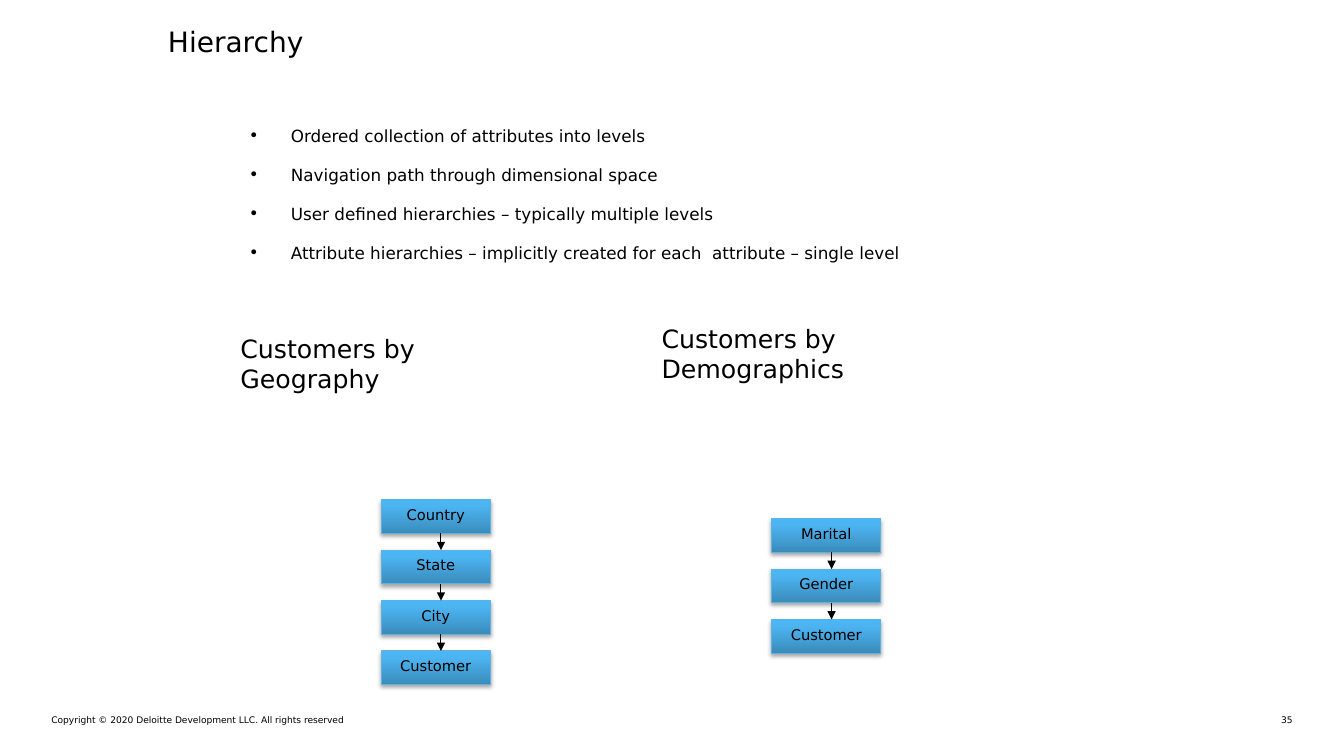
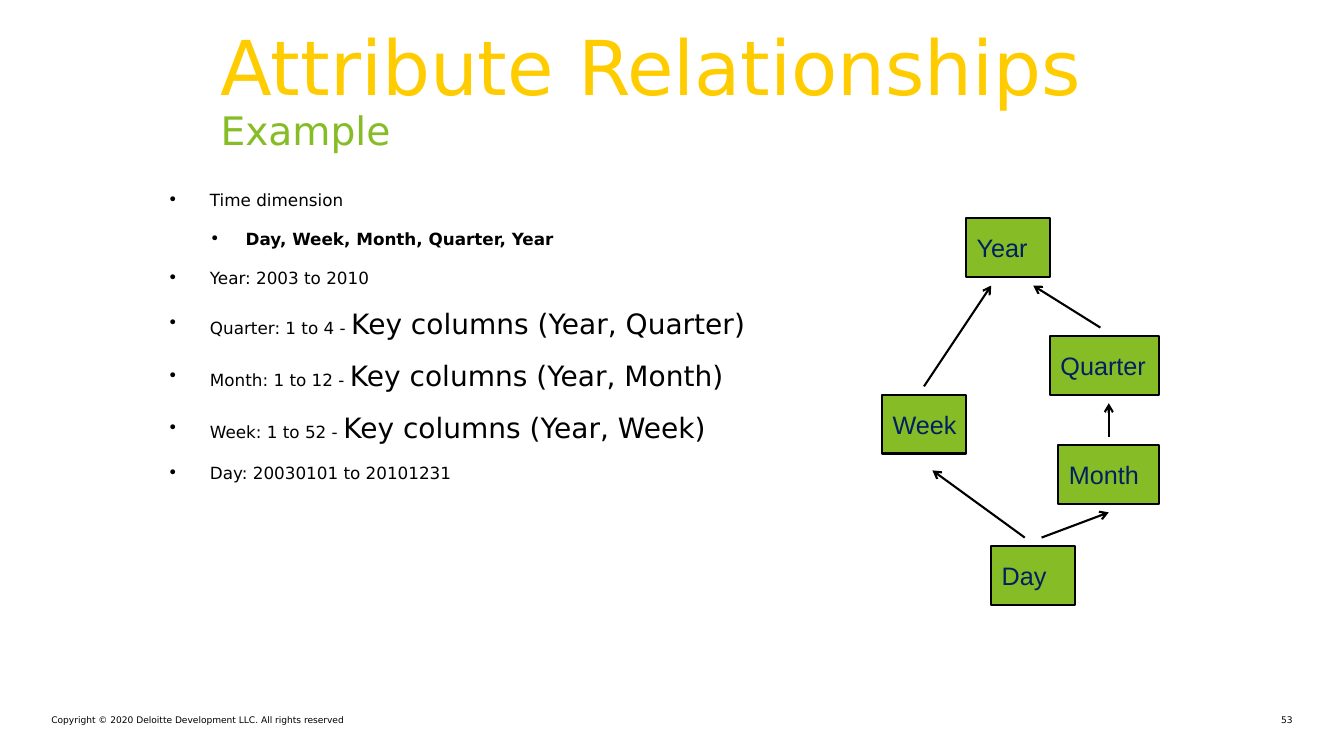
from itertools import pairwise

from lxml import etree
from pptx import Presentation
from pptx.dml.color import RGBColor
from pptx.enum.shapes import MSO_CONNECTOR, MSO_SHAPE
from pptx.enum.text import MSO_ANCHOR, PP_ALIGN
from pptx.oxml import parse_xml
from pptx.oxml.ns import nsdecls, qn
from pptx.util import Pt

PX = 9525
RECT = MSO_SHAPE.RECTANGLE
STRAIGHT = MSO_CONNECTOR.STRAIGHT
LEFT, CENTER, RIGHT = PP_ALIGN.LEFT, PP_ALIGN.CENTER, PP_ALIGN.RIGHT
TOP, MIDDLE = MSO_ANCHOR.TOP, MSO_ANCHOR.MIDDLE

BLACK = RGBColor(0x00, 0x00, 0x00)
GREEN = RGBColor(0x86, 0xBC, 0x25)
YELLOW = RGBColor(0xFF, 0xCC, 0x00)
NAVY = RGBColor(0x00, 0x20, 0x60)
LEVEL_LINE = RGBColor(0x5D, 0xB2, 0xE3)
LEVEL_STOPS = (
    (0, RGBColor(0x3A, 0x8B, 0xBA)),
    (80, RGBColor(0x4C, 0xB4, 0xF1)),
    (100, RGBColor(0x49, 0xB6, 0xF5)),
)

FONT = "DejaVu Sans"
NODE_FONT = "Arial"
COPYRIGHT = "Copyright © 2020 Deloitte Development LLC. All rights reserved"
NO_INSETS = (0, 0, 0, 0)
TEXT_INSETS = (10, 5, 10, 5)
BULLET_INDENTS = ((40, -40), (74, -34))  # left margin and first line, by level


def px(*lengths):
    return [length * PX for length in lengths]


def add_run(p, text, size, color=BLACK, bold=False, font=FONT):
    r = p.add_run()
    r.text = text
    r.font.name = font
    r.font.size = Pt(size)
    r.font.bold = bold
    r.font.color.rgb = color


def set_frame(s, insets, anchor=TOP):
    tf = s.text_frame
    tf.word_wrap = True
    tf.vertical_anchor = anchor
    tf.margin_left, tf.margin_top, tf.margin_right, tf.margin_bottom = px(*insets)
    return tf


def add_text(slide, box, text, size, insets=NO_INSETS, align=LEFT):
    tf = set_frame(slide.shapes.add_textbox(*px(*box)), insets)
    p = tf.paragraphs[0]
    p.alignment = align
    add_run(p, text, size)


def add_arrow(slide, start, end, width, head):
    c = slide.shapes.add_connector(STRAIGHT, *px(*start, *end))
    c.line.color.rgb = BLACK
    c.line.width = Pt(width)
    sp_pr = c.line._get_or_add_ln().getparent()
    etree.SubElement(sp_pr.find(qn("a:ln")), qn("a:tailEnd"), type=head)
    etree.SubElement(sp_pr, qn("a:effectLst"))


def add_bullets(slide, box, items):
    """Each item is a level followed by its runs: (text, size, bold)."""
    tf = set_frame(slide.shapes.add_textbox(*px(*box)), NO_INSETS)
    for i, (level, *runs) in enumerate(items):
        p = tf.add_paragraph() if i else tf.paragraphs[0]
        p.level = level
        p.space_after = Pt(13.3)
        margin, indent = px(*BULLET_INDENTS[level])
        p_pr = p._p.get_or_add_pPr()
        p_pr.set("marL", str(margin))
        p_pr.set("indent", str(indent))
        etree.SubElement(p_pr, qn("a:buFont"), typeface=FONT)
        etree.SubElement(p_pr, qn("a:buChar"), char="•")
        for text, size, bold in runs:
            add_run(p, text, size, bold=bold)


def add_footer(slide, number):
    add_text(slide, (49, 680, 563, 11), COPYRIGHT, 6.5)
    add_text(slide, (1198, 680, 33, 11), number, 6.5, align=RIGHT)


def style_level(s):
    """Give a level its gradient, outline and soft shadow."""
    s.line.color.rgb = LEVEL_LINE
    s.line.width = Pt(0.75)
    stops = "".join(
        f'<a:gs pos="{pos * 1000}"><a:srgbClr val="{color}"/></a:gs>'
        for pos, color in LEVEL_STOPS
    )
    ln = s.line._get_or_add_ln()
    ln.addprevious(parse_xml(
        f'<a:gradFill {nsdecls("a")} rotWithShape="1"><a:gsLst>{stops}</a:gsLst>'
        '<a:lin ang="16200000" scaled="0"/></a:gradFill>'
    ))
    ln.addnext(parse_xml(
        f'<a:effectLst {nsdecls("a")}>'
        f'<a:outerShdw blurRad="{Pt(3.1)}" dist="{Pt(1.8)}" dir="5400000" rotWithShape="0">'
        f'<a:srgbClr val="{BLACK}"><a:alpha val="35000"/></a:srgbClr>'
        '</a:outerShdw></a:effectLst>'
    ))


def add_level_stack(slide, left, top, levels):
    width, height, pitch, arrow_x = 104, 32, 48, 57
    tops = [top + i * pitch for i in range(len(levels))]
    for y, level in zip(tops, levels):
        s = slide.shapes.add_shape(RECT, *px(left, y, width, height))
        style_level(s)
        tf = set_frame(s, (0, 0, 0, 4), MIDDLE)
        p = tf.paragraphs[0]
        p.alignment = CENTER
        add_run(p, level, 10.5)
    for y, next_y in pairwise(tops):
        x = left + arrow_x
        add_arrow(slide, (x, y + height), (x, next_y), 0.75, "triangle")


def add_time_graph(slide, left, top):
    nodes = (
        ("Day", 104, 312, 80),
        ("Week", 0, 168, 80),
        ("Month", 168, 216, 96),
        ("Quarter", 160, 112, 104),
        ("Year", 80, 0, 80),
    )
    arrows = (
        ((136, 304), (48, 240)),
        ((152, 304), (216, 280)),
        ((216, 208), (216, 176)),
        ((208, 104), (144, 64)),
        ((40, 160), (104, 64)),
    )
    for name, x, y, width in nodes:
        s = slide.shapes.add_shape(RECT, *px(left + x, top + y, width, 56))
        s.shadow.inherit = False
        s.fill.solid()
        s.fill.fore_color.rgb = GREEN
        s.line.color.rgb = BLACK
        s.line.width = Pt(1.5)
        p = set_frame(s, (10, 5, 0, 5), MIDDLE).paragraphs[0]
        p.alignment = LEFT
        add_run(p, name, 18, NAVY, font=NODE_FONT)
    for (x1, y1), (x2, y2) in arrows:
        add_arrow(slide, (left + x1, top + y1), (left + x2, top + y2), 1.5, "arrow")


def add_two_line_title(slide, box, title, subtitle):
    tf = set_frame(slide.shapes.add_textbox(*px(*box)), TEXT_INSETS)
    p = tf.paragraphs[0]
    p.line_spacing = 0.9
    add_run(p, title, 54, YELLOW)
    p.add_line_break()
    add_run(p, subtitle, 28, GREEN)


def build_hierarchy(slide):
    add_footer(slide, "35")
    add_text(slide, (160, 23, 864, 79), "Hierarchy", 20)
    points = (
        "Ordered collection of attributes into levels",
        "Navigation path through dimensional space",
        "User defined hierarchies – typically multiple levels",
        "Attribute hierarchies – implicitly created for each  attribute – single level",
    )
    add_bullets(slide, (237, 120, 883, 305), [(0, (text, 12, False)) for text in points])
    add_text(slide, (219, 312, 305, 68), "Customers by Geography", 18, TEXT_INSETS)
    add_level_stack(slide, 363, 476, ("Country", "State", "City", "Customer"))
    add_text(slide, (620, 303, 334, 68), "Customers by Demographics", 18, TEXT_INSETS)
    add_level_stack(slide, 735, 494, ("Marital", "Gender", "Customer"))


def build_relationships(slide):
    add_footer(slide, "53")
    keyed = [
        (0, (f"{name}: 1 to {last} - ", 12, False),
         (f"Key columns (Year, {name})", 20, False))
        for name, last in (("Quarter", 4), ("Month", 12), ("Week", 52))
    ]
    add_bullets(slide, (160, 181, 660, 408), [
        (0, ("Time dimension", 12, False)),
        (1, ("Day, Week, Month, Quarter, Year", 12, True)),
        (0, ("Year: 2003 to 2010", 12, False)),
        *keyed,
        (0, ("Day: 20030101 to 20101231", 12, False)),
    ])
    add_two_line_title(slide, (200, 24, 880, 129), "Attribute Relationships", "Example")
    add_time_graph(slide, 840, 208)


def main():
    prs = Presentation()
    prs.slide_width, prs.slide_height = px(1280, 720)
    for build in (build_hierarchy, build_relationships):
        build(prs.slides.add_slide(prs.slide_layouts[6]))
    prs.save("out.pptx")


if __name__ == "__main__":
    main()
